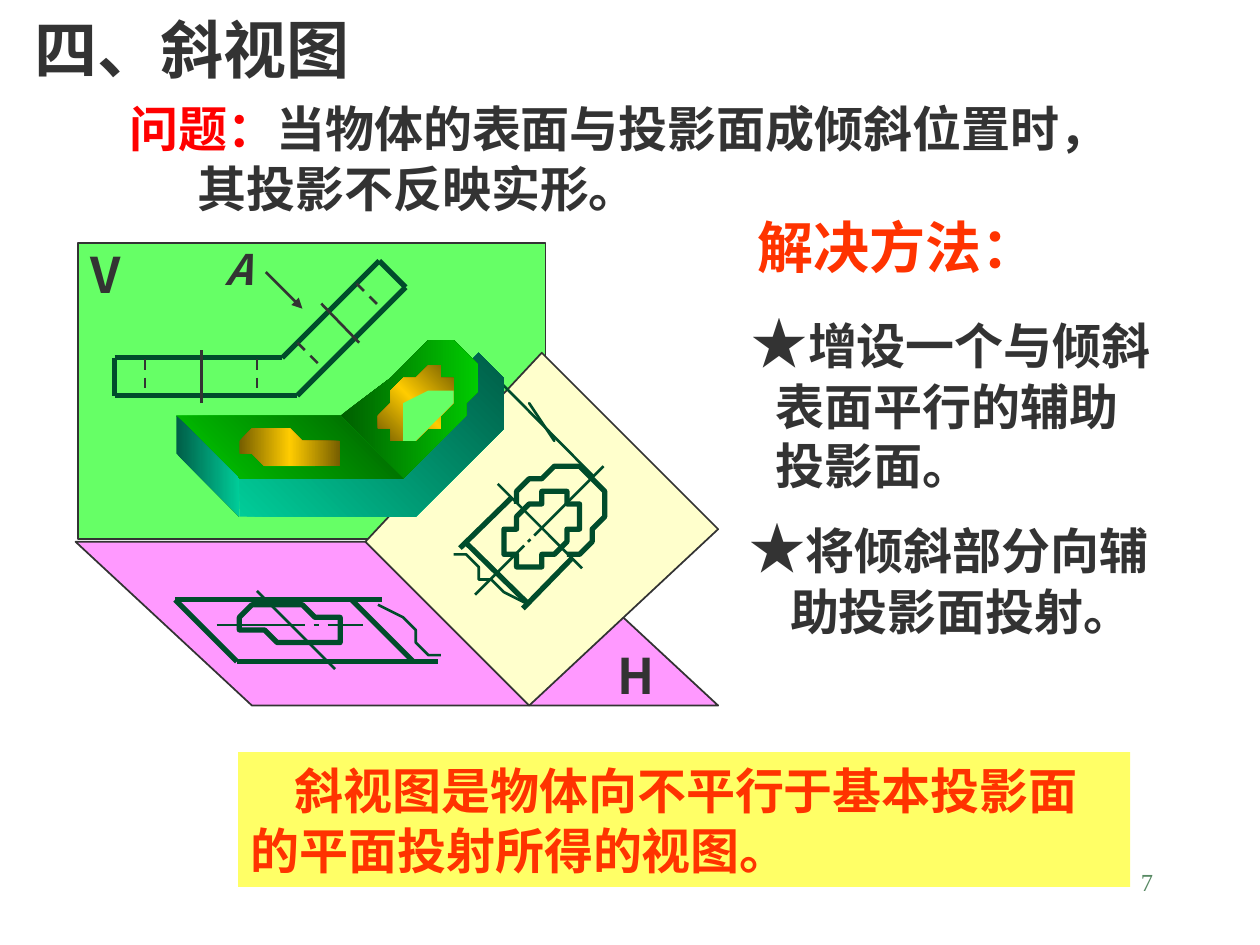
import math

import lxml.etree
import pptx
import pptx.dml.color
import pptx.enum.dml
import pptx.enum.shapes
import pptx.enum.text
import pptx.oxml.ns
import pptx.util

qn = pptx.oxml.ns.qn
ALIGN = pptx.enum.text.PP_ALIGN
ANCHOR = pptx.enum.text.MSO_ANCHOR
COLORS = {
    "ink": "333333", "red": "FF0000", "orange": "FF3300", "page": "578963",
    "banner": "FFFF66", "drawing": "004C2B", "front": "66FF66",
    "floor": "FF99FF", "auxiliary": "FFFFCC", "glint": "00FF00",
    "teal": "00CC99", "dark teal": "005E47", "green": "00CC00",
    "dark green": "005E00", "gold": "FFCC00", "dark gold": "765E00",
}
RGB = {name: pptx.dml.color.RGBColor.from_string(code) for name, code in COLORS.items()}
SANS = "Noto Sans CJK SC"

presentation = pptx.Presentation()
presentation.slide_width = pptx.util.Inches(10)
presentation.slide_height = pptx.util.Inches(7.5)
CELL = presentation.slide_width // 100  # grid of 100 columns by 75 rows
slide = presentation.slides.add_slide(presentation.slide_layouts[5])
shapes = slide.shapes


def write(box, lines, size, color, font=SANS, bold=True, align=ALIGN.LEFT,
          anchor=ANCHOR.MIDDLE, wrap=True, spacing=None):
    """Fill a box with lines, each a pair of (indent in cells, text)."""
    frame = box.text_frame
    frame.word_wrap = wrap
    frame.auto_size = pptx.enum.text.MSO_AUTO_SIZE.NONE
    frame.vertical_anchor = anchor
    for number, (indent, text) in enumerate(lines):
        paragraph = frame.paragraphs[0] if number == 0 else frame.add_paragraph()
        paragraph.alignment = align
        if spacing:
            paragraph.line_spacing = pptx.util.Pt(spacing)
        properties = paragraph._p.get_or_add_pPr()
        properties.set("marL", str(int(indent * CELL)))
        properties.set("indent", "0")
        paragraph.font.size = pptx.util.Pt(size)
        paragraph.font.bold = bold
        paragraph.font.color.rgb = RGB[color]
        paragraph.font.name = font
        lines_font = properties.find(qn("a:defRPr"))
        lxml.etree.SubElement(lines_font, qn("a:ea")).set("typeface", font)
        paragraph.add_run().text = text
    return frame


def outline(points, fill=(), line=None, width=1, angle=0, closed=True):
    """Draw a polygon or open curve; several fill colours make a gradient."""
    builder = shapes.build_freeform(*points[0], scale=CELL)
    builder.add_line_segments(points[1:], close=closed)
    figure = builder.convert_to_shape()
    figure.shadow.inherit = False
    if len(fill) > 1:
        figure.fill.gradient()
        figure.fill.gradient_angle = angle
        stops = figure._element.spPr.find(".//" + qn("a:gsLst"))
        for stop in list(stops):
            stops.remove(stop)
        for number, color in enumerate(fill):
            stop = lxml.etree.SubElement(stops, qn("a:gs"))
            stop.set("pos", str(100000 * number // (len(fill) - 1)))
            lxml.etree.SubElement(stop, qn("a:srgbClr")).set("val", COLORS[color])
    elif fill:
        figure.fill.solid()
        figure.fill.fore_color.rgb = RGB[fill[0]]
    else:
        figure.fill.background()
    if line:
        figure.line.color.rgb = RGB[line]
        figure.line.width = pptx.util.Pt(width)
    else:
        figure.line.fill.background()


# Heading, problem and solution
title = shapes.title
title.left, title.top, title.width, title.height = (
    int(v * CELL) for v in (1.7, 0.3, 37.4, 7))
write(title, [(0, "四、斜视图")], 36, "ink")

STAR = "★"
text_parts = [
    ((9.3, 7.3, 83, 10.3), [(0, "问题：当物体的表面与投影面成倾斜位置时，"), (5.4, "其投影不反映实形。")],
     28, "ink", dict(anchor=ANCHOR.TOP, spacing=34)),
    ((58.7, 24.6, 40, 15.7), [(0, STAR + "增设一个与倾斜"), (1.9, "表面平行的辅助"), (1.9, "投影面。")],
     28, "ink", dict(anchor=ANCHOR.TOP, spacing=34)),
    ((56, 16.4, 30.5, 6.3), [(0, "解决方法：")], 32, "orange", dict(align=ALIGN.CENTER)),
    ((52.3, 40.9, 46, 10.6), [(0, STAR + "将倾斜部分向辅"), (2, "助投影面投射。")],
     28, "ink", dict(anchor=ANCHOR.TOP, align=ALIGN.CENTER, spacing=34)),
    ((71.7, 68.3, 20.8, 5), [(0, "7")], 14, "page",
     dict(font="Times New Roman", bold=False, align=ALIGN.RIGHT, anchor=ANCHOR.TOP)),
]
for place, lines, size, color, style in text_parts:
    box = shapes.add_textbox(*(int(v * CELL) for v in place))
    lead = write(box, lines, size, color, **style).paragraphs[0]
    text = lead.runs[0].text
    for mark in ("问题：", STAR):
        if text.startswith(mark):
            lead.runs[0].text = mark
            lead.add_run().text = text[len(mark):]
            if mark == STAR:
                lead.runs[0].font.size = pptx.util.Pt(32)
            else:
                lead.runs[0].font.color.rgb = RGB["red"]

definition = shapes.add_shape(pptx.enum.shapes.MSO_SHAPE.RECTANGLE,
                              *(int(v * CELL) for v in (18.9, 59.7, 70.8, 10.7)))
definition.shadow.inherit = False
definition.fill.solid()
definition.fill.fore_color.rgb = RGB["banner"]
definition.line.fill.background()
write(definition, [(0, "斜视图是物体向不平行于基本投影面的平面投射所得的视图。")], 28, "orange", spacing=34)
definition.text_frame.paragraphs[0]._p.pPr.set("indent", str(int(3.5 * CELL)))

# Projection planes
outline([(6.2, 42.7), (19.9, 56.4), (56.9, 56.4), (43.2, 42.7)], ["floor"], "ink")
front_plane = shapes.add_shape(pptx.enum.shapes.MSO_SHAPE.RECTANGLE,
                               *(int(v * CELL) for v in (6.2, 19.3, 37.1, 23.5)))
front_plane.shadow.inherit = False
front_plane.fill.solid()
front_plane.fill.fore_color.rgb = RGB["front"]
front_plane.line.color.rgb = RGB["ink"]
front_plane.line.width = pptx.util.Pt(1)
outline([(28.6, 42.9), (43.2, 28.2), (56.7, 41.7), (42.1, 56.3)], ["auxiliary"], "ink")

# Straight lines of the three views: (colour, width, style, segments)
line_sets = [
    ("drawing", 3, None, [
        (13.9, 47.6, 18.8, 52.5), (13.9, 47.6, 30.3, 47.6), (18.8, 52.5, 34.8, 52.5),
        (27.9, 47.6, 32.8, 52.5), (9.1, 28.4, 22.4, 28.4), (9.1, 28.4, 9.1, 31.4),
        (22.4, 28.4, 30.1, 20.7), (9.1, 31.4, 23.6, 31.4), (23.6, 31.4, 32.2, 22.8),
        (30.1, 20.7, 32.2, 22.8), (36.5, 43.5, 40.6, 39.5), (41.5, 48.3, 45.4, 44.3),
        (37, 43.1, 41.9, 47.9)]),
    ("drawing", 1.5, None, [
        (20.4, 46.9, 26.6, 53.1), (17.2, 49.6, 24.2, 49.6), (24.9, 49.6, 25.3, 49.6),
        (26, 49.6, 28.8, 49.6), (37.9, 28.5, 47.1, 37.8), (39.5, 38.4, 46.2, 45.1),
        (37.7, 47.2, 41.6, 43.3), (41.9, 43, 42.1, 42.8), (42.4, 42.5, 47.9, 37)]),
    ("ink", 1.5, "dash", [
        (28.3, 22.5, 30.3, 24.5), (23.6, 27.2, 25.7, 29.3),
        (20.4, 28.5, 20.4, 31.4), (11.5, 28.5, 11.5, 31.4)]),
    ("ink", 1.5, None, [(25.5, 24.1, 28.5, 27.2), (16, 32, 16, 27.8)]),
    ("ink", 1.5, "arrow", [(21.1, 21.6, 24, 24.5)]),
]
for color, width, style, segments in line_sets:
    for segment in segments:
        edge = shapes.add_connector(pptx.enum.shapes.MSO_CONNECTOR.STRAIGHT,
                                    *(int(v * CELL) for v in segment))
        edge.line.color.rgb = RGB[color]
        edge.line.width = pptx.util.Pt(width)
        if style == "dash":
            edge.line.dash_style = pptx.enum.dml.MSO_LINE.DASH
        if style == "arrow":
            lxml.etree.SubElement(edge.line._get_or_add_ln(), qn("a:tailEnd")).set("type", "triangle")
        lxml.etree.SubElement(edge._element.spPr, qn("a:effectLst"))

# Holes seen at an angle: centre, half width, half height, skew
holes = {}
for name, x, y, a, b, skew in [
        ("floor", 23.1, 49.6, 4.2, 1.4, 0.37), ("auxiliary", 43.05, 41.9, 2.75, 2.8, -0.43),
        ("base", 23.15, 35.7, 4.25, 1.4, 0.37), ("lug", 33.15, 32.05, 2.75, 2.75, -0.43)]:
    turns = [math.tau * step / 36 for step in range(36)]
    holes[name] = [(x + a * math.cos(t), y + b * math.sin(t + skew)) for t in turns]

# Curves of the floor and auxiliary views
outline(holes["floor"], line="drawing", width=3)
outline(holes["auxiliary"], line="drawing", width=3)
outline([(45.4, 44.3), (46.2, 43.5), (46.8, 42.7), (47.2, 41.8), (47.6, 40.9), (47.8, 40.1),
         (47.8, 39.3), (47.6, 38.6), (47.3, 38), (46.9, 37.6), (46.3, 37.3), (45.6, 37.1),
         (44.8, 37.1), (44, 37.3), (43.1, 37.7), (42.2, 38.1), (41.4, 38.7), (40.6, 39.5)],
        line="drawing", width=3, closed=False)
for break_line in [
        [(30.3, 47.6), (31.7, 49.1), (32.6, 49.8), (33.4, 50.9), (33.6, 51.6), (34, 51.9), (34.8, 52.5)],
        [(36.5, 43.5), (37.2, 44), (37.6, 44.9), (38, 45.7), (38.9, 46), (39.5, 46.6), (39.9, 47.4),
         (41.5, 48.3)]]:
    outline(break_line, line="drawing", width=1.5, closed=False)
outline([(44.3, 35), (41.8, 32.1), (41.5, 32.5)], line="drawing", width=1.5)

# Solid bracket
outline([(18.6, 37.8), (18.6, 41.1), (33.3, 41), (38.9, 35.4), (39.6, 34), (40, 32.5), (40, 31.1),
         (39.9, 30.1), (37.5, 27.9), (37.1, 29.1), (37.9, 30.1), (37.7, 31.1), (37, 32.2),
         (36.4, 33.5), (32, 37.9)], ["teal", "dark teal"], angle=45)
outline([(27.1, 33.2), (30.7, 29.6), (31.8, 28.6), (33.1, 27.8), (34.3, 27.3), (35.9, 27.3),
         (37.4, 27.9), (38.1, 29.3), (37.9, 30.7), (37.4, 31.9), (36.7, 33.2), (36.3, 33.9),
         (32.1, 38)], ["dark green", "green"])
outline([(13.9, 33.2), (27.2, 33.2), (32.1, 38), (18.6, 38)], ["green", "dark green"], angle=45)
outline(holes["base"], ["dark gold", "gold", "dark gold"])
outline(holes["lug"], ["dark gold", "gold", "dark gold"], angle=45)
outline([(21.3, 36.6), (22.9, 36.6), (24, 36.9), (24.7, 37.1), (23.4, 37.1), (22.7, 36.9),
         (21.9, 36.9)], ["glint"])
outline([(35.9, 30.7), (35, 30.7), (33.6, 31.2), (32.5, 32.3), (31.8, 33.6), (31.8, 34.8),
         (32.9, 34.7), (34, 34.1), (35, 33.2), (35.9, 31.8)], ["front"])
outline([(13.9, 33.2), (18.8, 37.9), (18.8, 41.1), (13.9, 36.2)], ["dark teal", "teal"])

# Plane and direction labels
for letter, size, place in [("V", 28, (6.4, 18.9, 4, 5.7)), ("H", 28, (48.5, 50.7, 4, 5.7)),
                            ("A", 24, (17.1, 18.8, 3.7, 5))]:
    label = shapes.add_textbox(*(int(v * CELL) for v in place))
    write(label, [(0, letter)], size, "ink", align=ALIGN.CENTER, wrap=False)
    label.text_frame.paragraphs[0].font.italic = letter == "A"

presentation.save("out.pptx")
